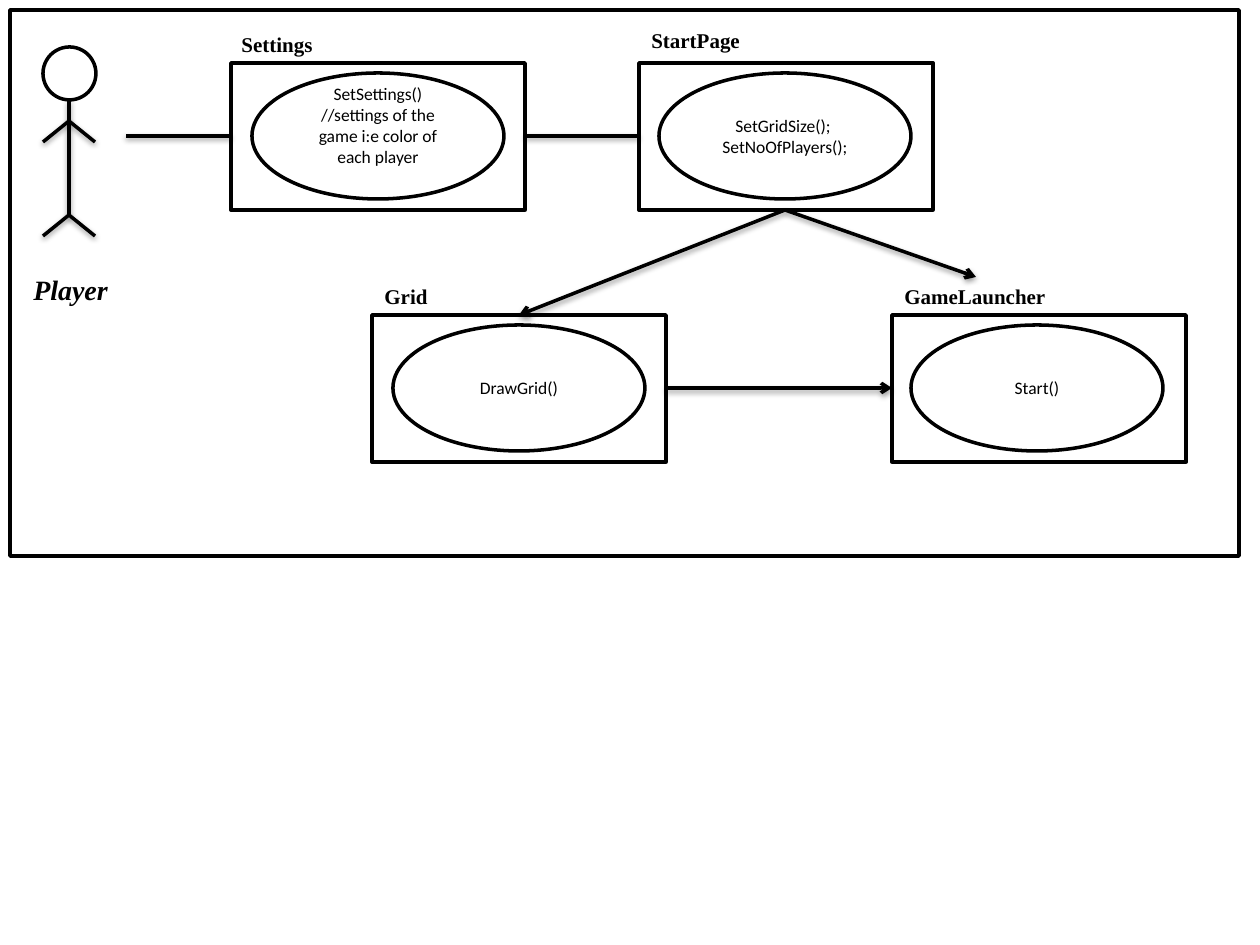
"""Builds a use case slide of a player and four game classes."""
import pptx
import pptx.util
import pptx.dml.color
import pptx.enum.shapes
import pptx.enum.text
import pptx.oxml

HUES = {"ink": "000000", "paper": "FFFFFF"}
SHAPE = pptx.enum.shapes.MSO_SHAPE
TEXT = pptx.enum.text
NS = 'xmlns:a="http://schemas.openxmlformats.org/drawingml/2006/main"'
SHADE = (
    f'<a:effectLst {NS}><a:outerShdw blurRad="40000" dist="20000" '
    'dir="5400000" rotWithShape="0"><a:srgbClr val="{}">'
    '<a:alpha val="38000"/></a:srgbClr></a:outerShdw></a:effectLst>'
)
BOX_W, BOX_H = 294, 147
OVAL_W, OVAL_H = 252, 126


def px(num):
    return pptx.util.Inches(num / 126)


def hue(name):
    return pptx.dml.color.RGBColor.from_string(HUES[name])


class Sketch:
    """Holds the style and the current slide."""

    def __init__(self, deck):
        self.slide = deck.slides.add_slide(deck.slide_layouts[6])
        self.shapes = self.slide.shapes
        self.line = pptx.util.Pt(2)

    def style(self, frame, size, font, bold=None, slant=None):
        for para in frame.paragraphs:
            for run in para.runs:
                run.font.size = pptx.util.Pt(size)
                run.font.name = font
                run.font.bold = bold
                run.font.italic = slant
                run.font.color.rgb = hue("ink")

    def shape(self, kind, x, y, w, h):
        item = self.shapes.add_shape(kind, px(x), px(y), px(w), px(h))
        item.shadow.inherit = False
        item.fill.solid()
        item.fill.fore_color.rgb = hue("paper")
        item.line.color.rgb = hue("ink")
        item.line.width = self.line
        return item

    def oval(self, x, y, text, lift=0):
        frame = self.shape(SHAPE.OVAL, x, y, OVAL_W, OVAL_H).text_frame
        frame.text = text
        frame.word_wrap = True
        frame.vertical_anchor = TEXT.MSO_ANCHOR.MIDDLE
        frame.margin_bottom += px(lift)
        for para in frame.paragraphs:
            para.alignment = TEXT.PP_ALIGN.CENTER
        self.style(frame, 10, "Calibri")

    def label(self, x, y, w, h, text, size=12, slant=None):
        frame = self.shapes.add_textbox(px(x), px(y), px(w), px(h)).text_frame
        frame.text = text
        frame.word_wrap = False
        frame.auto_size = TEXT.MSO_AUTO_SIZE.SHAPE_TO_FIT_TEXT
        self.style(frame, size, "Times New Roman", True, slant)

    def link(self, x1, y1, x2, y2, arrow=False):
        item = self.shapes.add_connector(
            pptx.enum.shapes.MSO_CONNECTOR.STRAIGHT,
            px(x1), px(y1), px(x2), px(y2))
        item.line.color.rgb = hue("ink")
        item.line.width = self.line
        if arrow:
            tip = pptx.oxml.parse_xml(f'<a:tailEnd {NS} type="arrow"/>')
            item.line._get_or_add_ln().append(tip)
        shade = pptx.oxml.parse_xml(SHADE.format(HUES["ink"]))
        item._element.spPr.append(shade)

    def player(self, x, y):
        self.shape(SHAPE.OVAL, x - 26, y, 53, 53)
        self.link(x, y + 53, x, y + 168)
        for joint in (y + 74, y + 168):
            for side in (-26, 26):
                self.link(x, joint, x + side, joint + 21)


def main():
    deck = pptx.Presentation()
    deck.slide_width, deck.slide_height = px(1260), px(945)
    art = Sketch(deck)
    art.shape(SHAPE.RECTANGLE, 10, 10, 1229, 546)
    boxes = [
        (231, 63, 252, "SetSettings()\n//settings of the game i:e color of "
         "each player", 21),
        (639, 63, 659, "SetGridSize(); \nSetNoOfPlayers();", 0),
        (372, 315, 393, "DrawGrid()", 0),
        (892, 315, 911, "Start()", 0),
    ]
    for x, y, left, text, lift in boxes:
        art.shape(SHAPE.RECTANGLE, x, y, BOX_W, BOX_H)
        art.oval(left, y + 10, text, lift)
    names = [
        (229, 25, 97, "Settings"),
        (639, 21, 115, "StartPage"),
        (372, 277, 69, "Grid"),
        (892, 277, 168, "GameLauncher"),
    ]
    for x, y, w, text in names:
        art.label(x, y, w, 38, text)
    art.player(69, 47)
    art.label(21, 266, 105, 47, "Player", 16, True)
    art.link(126, 136, 231, 136)
    art.link(525, 136, 639, 136)
    art.link(785, 210, 519, 315, True)
    art.link(666, 388, 892, 388, True)
    art.link(785, 210, 976, 277, True)
    deck.save("out.pptx")


if __name__ == "__main__":
    main()
